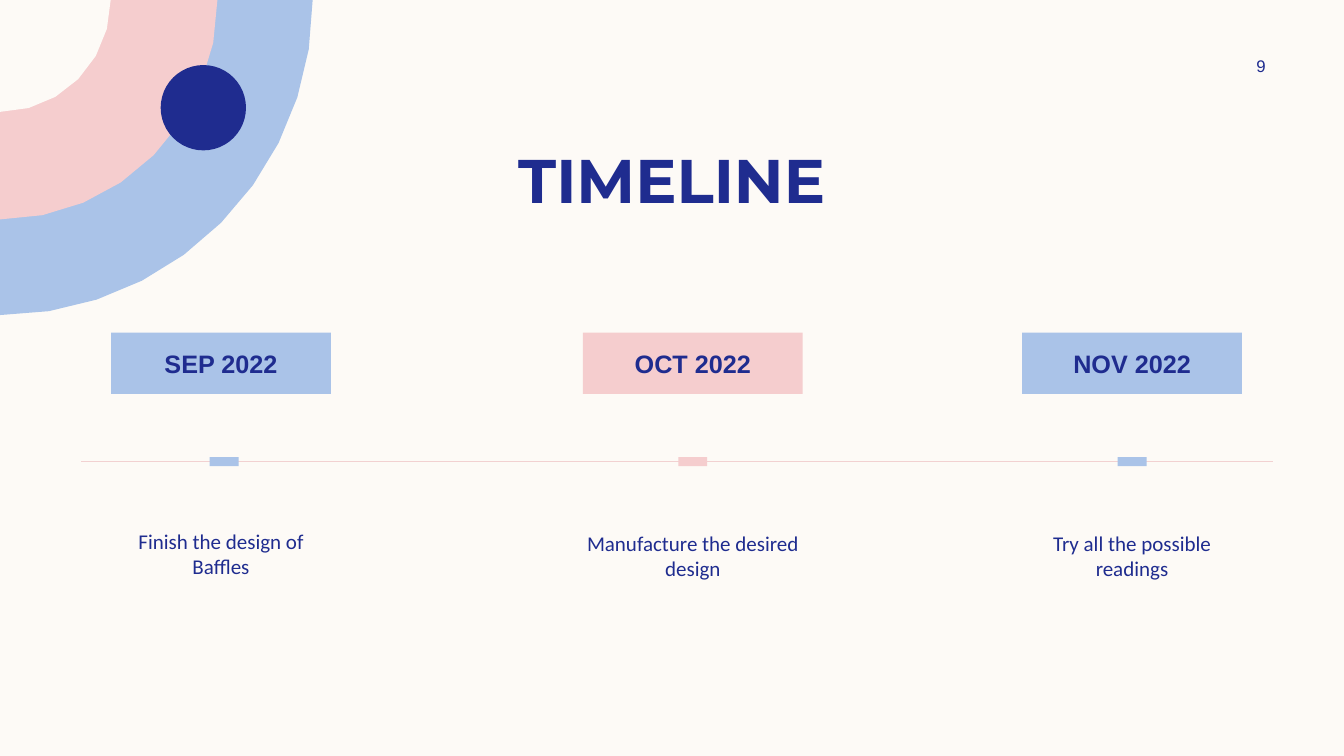
"""Build a three-month timeline slide with quarter rings in the corner."""
from dataclasses import dataclass
from math import cos, pi, sin

from lxml.etree import SubElement
from pptx import Presentation
from pptx.dml.color import RGBColor
from pptx.enum.shapes import MSO_CONNECTOR, MSO_SHAPE as Preset
from pptx.enum.text import MSO_ANCHOR as Anchor, PP_ALIGN as Align
from pptx.oxml.ns import qn
from pptx.util import Cm, Pt


@dataclass(frozen=True)
class Theme:
    cream: RGBColor = RGBColor.from_string("FDFAF6")
    blue: RGBColor = RGBColor.from_string("AAC3E8")
    pink: RGBColor = RGBColor.from_string("F5CDCE")
    navy: RGBColor = RGBColor.from_string("1F2C8F")
    rule: RGBColor = RGBColor.from_string("F2D1D1")
    title: int = 44
    date: int = 18
    body: int = 15
    number: int = 12


theme = Theme()


def paint(shape, colour):
    shape.shadow.inherit = False
    shape.fill.solid()
    shape.fill.fore_color.rgb = colour
    shape.line.fill.background()


def write(box, text, size, font, bold=False, anchor=Anchor.MIDDLE, side=0, edge=0):
    frame = box.text_frame
    frame.word_wrap = True
    frame.vertical_anchor = anchor
    frame.margin_left = frame.margin_right = Cm(side)
    frame.margin_top = frame.margin_bottom = Cm(edge)
    para = frame.paragraphs[0]
    para.alignment = Align.CENTER
    span = para.add_run()
    span.text = text
    span.font.size = Pt(size)
    span.font.name = font
    span.font.bold = bold
    span.font.color.rgb = theme.navy


deck = Presentation()
deck.slide_width, deck.slide_height = Cm(33.87), Cm(19.05)
page = deck.slides.add_slide(deck.slide_layouts[5])
page.background.fill.solid()
page.background.fill.fore_color.rgb = theme.cream
shapes = page.shapes

quarters = [
    (7.88, 7.94, 10, theme.blue),
    (5.48, 5.53, 8, theme.pink),
    (2.79, 2.82, 6, theme.cream),
]
for across, down, steps, colour in quarters:
    angles = [pi / 2 * step / steps for step in range(steps + 1)]
    arc = [(Cm(across * cos(angle)), Cm(down * sin(angle))) for angle in angles]
    builder = shapes.build_freeform(0, 0)
    builder.add_line_segments(arc, close=True)
    paint(builder.convert_to_shape(), colour)

dot = shapes.add_shape(Preset.OVAL, Cm(4.05), Cm(1.64), Cm(2.15), Cm(2.15))
paint(dot, theme.navy)

axis_y = 11.63
axis = shapes.add_connector(
    MSO_CONNECTOR.STRAIGHT, Cm(2.05), Cm(axis_y), Cm(32.08), Cm(axis_y))
axis.line.color.rgb = theme.rule
axis.line.width = Pt(1)
SubElement(axis._element.spPr, qn("a:effectLst"))

title = shapes.title
title.left, title.top, title.width, title.height = Cm(2.11), Cm(3.45), Cm(29.64), Cm(2.13)
write(title, "TIMELINE", theme.title, "Montserrat", bold=True, side=0.25, edge=0.13)

number = shapes.add_textbox(Cm(30.41), Cm(1.27), Cm(2.74), Cm(0.76))
write(number, "9", theme.number, "Arial", side=0.25, edge=0.13)

milestones = [
    ("SEP 2022", "Finish the design of Baffles", theme.blue, 2.8, 5.65, 13.18),
    ("OCT 2022", "Manufacture the desired design", theme.pink, 14.69, 17.46, 13.23),
    ("NOV 2022", "Try all the possible readings", theme.blue, 25.76, 28.53, 13.23),
]
width, tick_width, tick_height = 5.54, 0.23, 0.73
for date, task, colour, left, tick_x, task_top in milestones:
    label = shapes.add_shape(Preset.RECTANGLE, Cm(left), Cm(8.38), Cm(width), Cm(1.55))
    paint(label, colour)
    write(label, date, theme.date, "Arial", bold=True)

    tick = shapes.add_shape(
        Preset.RECTANGLE, Cm(tick_x - tick_width / 2), Cm(axis_y - tick_height / 2),
        Cm(tick_width), Cm(tick_height))
    tick.rotation = 270
    paint(tick, colour)

    note = shapes.add_textbox(Cm(left), Cm(task_top), Cm(width), Cm(2.21))
    write(note, task, theme.body, "Calibri", anchor=Anchor.TOP, edge=0.13)

deck.save("out.pptx")
